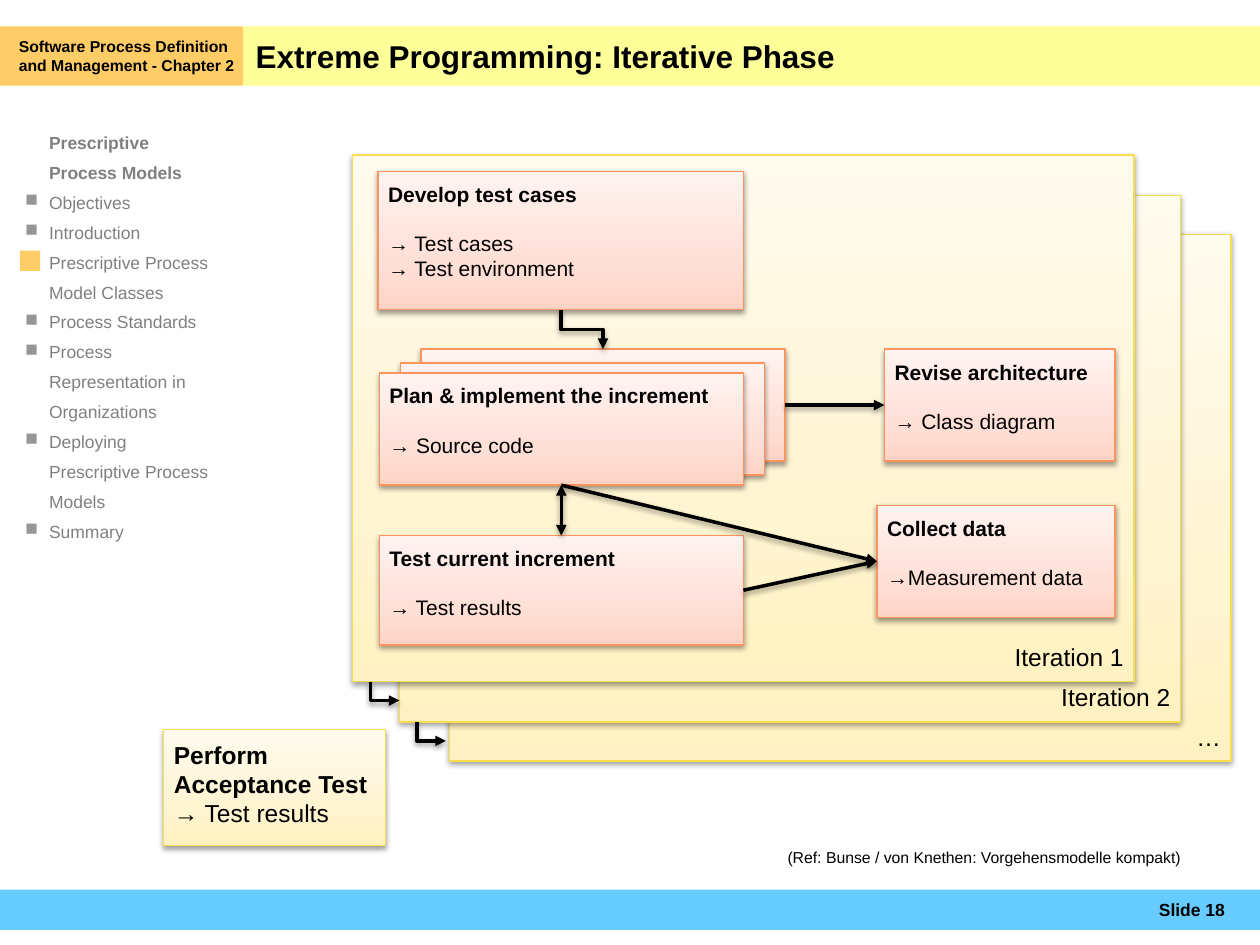
"""Build the slide on the iterative phase of Extreme Programming."""
from dataclasses import dataclass

from lxml import etree
from pptx import Presentation
from pptx.dml.color import RGBColor
from pptx.enum.shapes import MSO_CONNECTOR, MSO_SHAPE
from pptx.enum.text import MSO_ANCHOR, PP_ALIGN
from pptx.oxml.ns import qn
from pptx.util import Emu, Inches, Pt

RECT = MSO_SHAPE.RECTANGLE
LINE, ELBOW = MSO_CONNECTOR.STRAIGHT, MSO_CONNECTOR.ELBOW
TOP, MID, BASE = MSO_ANCHOR.TOP, MSO_ANCHOR.MIDDLE, MSO_ANCHOR.BOTTOM
LEFT, RIGHT = PP_ALIGN.LEFT, PP_ALIGN.RIGHT
NORTH, WEST, SOUTH, EAST = 0, 1, 2, 3
COLS, ROWS = 100, 75


@dataclass(frozen=True)
class Theme:
    """Colours, gradients and type sizes of the slide."""
    font: str = "Arial"
    ink: str = "000000"
    gray: str = "808080"
    mark: str = "969696"
    blue: str = "66CCFF"
    lemon: str = "FFFF99"
    gold: str = "FFCC66"
    cream: tuple = ("FFF1C1", "FFF5D3", "FFFBEE", "FADD4D")
    rose: tuple = ("FFD4C6", "FFE0D7", "FFF3F0", "FD9460")
    title: int = 18
    large: int = 14
    body: int = 12
    small: int = 10
    tiny: int = 9


THEME = Theme()


def node(parent, tag, **attrs):
    """Append a drawing element with attributes."""
    return etree.SubElement(parent, qn(tag), {k: str(v) for k, v in attrs.items()})


def shade(shape):
    """Give a shape the soft shadow below it."""
    props = shape._element.spPr
    drop = node(node(props, "a:effectLst"), "a:outerShdw", blurRad=40000,
                dist=20000, dir=5400000, rotWithShape=0)
    node(node(drop, "a:srgbClr", val=THEME.ink), "a:alpha", val=38000)


def blend(shape, tones):
    """Fill a shape with a gradient that rises from its base."""
    props = shape._element.spPr
    grad = node(props, "a:gradFill", rotWithShape=1)
    stops = node(grad, "a:gsLst")
    for place, tone in zip((0, 35, 100), tones):
        node(node(stops, "a:gs", pos=place * 1000), "a:srgbClr", val=tone)
    node(grad, "a:lin", ang=16200000, scaled=0)
    props.find(qn("a:prstGeom")).addnext(grad)


def write(shape, text, size=THEME.body, bold=False, color=THEME.ink,
          align=LEFT, after=0, lead=None, hang=0, bullet=None):
    """Add one paragraph of text to a shape."""
    frame = shape.text_frame
    para = frame.paragraphs[0] if not frame.text else frame.add_paragraph()
    para.alignment, para.space_after = align, Pt(after)
    if lead:
        para.line_spacing = lead
    run = para.add_run()
    run.text = text
    font = run.font
    font.name, font.size, font.bold = THEME.font, Pt(size), bold
    font.color.rgb = RGBColor.from_string(color)
    props = para._p.get_or_add_pPr()
    if hang:
        props.set("marL", str(Inches(hang)))
    if bullet:
        props.set("indent", str(-Inches(hang)))
        node(node(props, "a:buClr"), "a:srgbClr", val=THEME.mark)
        node(props, "a:buChar", char=bullet)


class Board:
    """Hold the style and the slide, and draw on its grid."""

    def __init__(self, deck):
        """Add a blank slide."""
        self.theme = THEME
        self.unit = deck.slide_width / COLS
        self.shapes = deck.slides.add_slide(deck.slide_layouts[6]).shapes

    def grid(self, *cells):
        """Turn grid cells into lengths."""
        return [Emu(round(c * self.unit)) for c in cells]

    def frame(self, shape, pad, anchor):
        """Set the padding and anchor of a text frame."""
        box = shape.text_frame
        box.word_wrap, box.vertical_anchor = True, anchor
        box.margin_left, box.margin_top, box.margin_right, box.margin_bottom = self.grid(*pad)
        return shape

    def text(self, *place, pad=(0, 0, 0, 0), anchor=TOP):
        """Draw a text box."""
        return self.frame(self.shapes.add_textbox(*self.grid(*place)), pad, anchor)

    def band(self, *place, color, pad=(1, 0.5, 1, 0.5)):
        """Draw a plain rectangle."""
        shape = self.shapes.add_shape(RECT, *self.grid(*place))
        shape.shadow.inherit = False
        shape.fill.solid()
        shape.fill.fore_color.rgb = RGBColor.from_string(color)
        shape.line.fill.background()
        return self.frame(shape, pad, MID)

    def card(self, *place, tones, anchor=TOP):
        """Draw a shaded gradient rectangle."""
        shape = self.shapes.add_shape(RECT, *self.grid(*place))
        blend(shape, tones)
        shape.line.color.rgb = RGBColor.from_string(tones[-1])
        shape.line.width = Pt(0.75)
        shade(shape)
        return self.frame(shape, (0.8,) * 4, anchor)

    def task(self, *place, head, items):
        """Draw an activity with its results."""
        shape = self.card(*place, tones=self.theme.rose)
        write(shape, head, bold=True, after=13.8)
        for item in items:
            write(shape, item)
        return shape

    def stroke(self, shape, both=False):
        """Style a line and give it arrowheads."""
        shape.line.color.rgb = RGBColor.from_string(self.theme.ink)
        shape.line.width = Pt(2)
        ends = shape._element.spPr.find(qn("a:ln"))
        if both:
            node(ends, "a:headEnd", type="triangle")
        node(ends, "a:tailEnd", type="triangle")
        shade(shape)

    def link(self, start, side, end, goal, kind=LINE, both=False):
        """Join two shapes with an arrow."""
        line = self.shapes.add_connector(kind, 0, 0, 0, 0)
        line.begin_connect(start, side)
        line.end_connect(end, goal)
        if kind == ELBOW:
            wide, high = line.width, line.height
            line.left += (wide - high) // 2
            line.top += (high - wide) // 2
            line.width, line.height = high, wide
            form = line._element.spPr.find(qn("a:xfrm"))
            form.set("rot", "16200000")
            form.set("flipH", "1")
        self.stroke(line, both)

    def step(self, x, y, wide, high):
        """Draw an arrow that goes down and then right."""
        path = self.shapes.build_freeform(*self.grid(x, y))
        path.add_line_segments([self.grid(x, y + high),
                                self.grid(x + wide, y + high)], close=False)
        shape = path.convert_to_shape()
        shape.fill.background()
        self.stroke(shape)


def bars(board):
    """Draw the header, the footer and the reference."""
    look = board.theme
    board.band(0, 70.6, COLS, 3.2, color=look.blue)
    title = board.band(19.3, 2.1, 80.7, 4.7, color=look.lemon)
    write(title, "Extreme Programming: Iterative Phase", size=look.title, bold=True)
    topic = board.band(0, 2.1, 19.3, 4.7, color=look.gold, pad=(1.5, 0.5, 0.4, 0.5))
    write(topic, "Software Process Definition and Management - Chapter 2",
          size=look.tiny, bold=True)
    page = board.text(87, 70.6, 10.2, 3.2, anchor=MID)
    write(page, "Slide 18", size=look.small, bold=True, align=RIGHT)
    note = board.text(62.5, 67.3, 34.2, 1.5)
    write(note, "(Ref: Bunse / von Knethen: Vorgehensmodelle kompakt)", size=look.tiny)


def menu(board):
    """Draw the chapter outline."""
    look = board.theme
    style = dict(size=look.small, color=look.gray, lead=1.42, hang=0.19)
    box = board.text(2, 9.8, 15, 59.1)
    write(box, "Prescriptive Process Models", bold=True, **style)
    for topic in ("Objectives", "Introduction", "Prescriptive Process Model Classes",
                  "Process Standards", "Process Representation in Organizations",
                  "Deploying Prescriptive Process Models", "Summary"):
        write(box, topic, bullet="■", **style)
    board.band(1.6, 19.9, 1.6, 1.6, color=look.gold)


def flow(board):
    """Draw the iterations and their activities."""
    look = board.theme
    for label, x, y in (("…", 35.7, 18.6), ("Iteration 2", 31.7, 15.5),
                        ("Iteration 1", 28, 12.3)):
        page = board.card(x, y, 62, 41.8, tones=look.cream, anchor=BASE)
        write(page, label, size=look.large, align=RIGHT)
    check = board.card(13, 57.9, 17.6, 9.2, tones=look.cream)
    write(check, "Perform Acceptance Test", size=look.large, bold=True)
    write(check, "→ Test results", size=look.large)
    for x, y in ((29.4, 54.1), (33.1, 57.3)):
        board.step(x, y, 2.3, 1.5)

    cases = board.task(30, 13.6, 29, 11, head="Develop test cases",
                       items=("→ Test cases", "→ Test environment"))
    test = board.task(30.1, 42.5, 28.9, 8.7, head="Test current increment",
                      items=("→ Test results",))
    data = board.task(69.6, 40.1, 18.9, 8.9, head="Collect data",
                      items=("→Measurement data",))
    plan = board.task(70.2, 27.7, 18.3, 8.9, head="Revise architecture",
                      items=("→ Class diagram",))
    back = board.card(33.4, 27.7, 28.9, 8.9, tones=look.rose)
    board.card(31.8, 28.8, 28.9, 8.9, tones=look.rose)
    build = board.task(30.1, 29.6, 28.9, 8.9, head="Plan & implement the increment",
                       items=("→ Source code",))

    board.link(cases, SOUTH, back, NORTH, kind=ELBOW)
    board.link(back, EAST, plan, WEST)
    board.link(build, SOUTH, data, WEST)
    board.link(test, EAST, data, WEST)
    board.link(build, SOUTH, test, NORTH, both=True)


def main():
    """Build and save the deck."""
    deck = Presentation()
    deck.slide_width, deck.slide_height = Inches(COLS / 10), Inches(ROWS / 10)
    board = Board(deck)
    bars(board)
    menu(board)
    flow(board)
    deck.save("out.pptx")


if __name__ == "__main__":
    main()
